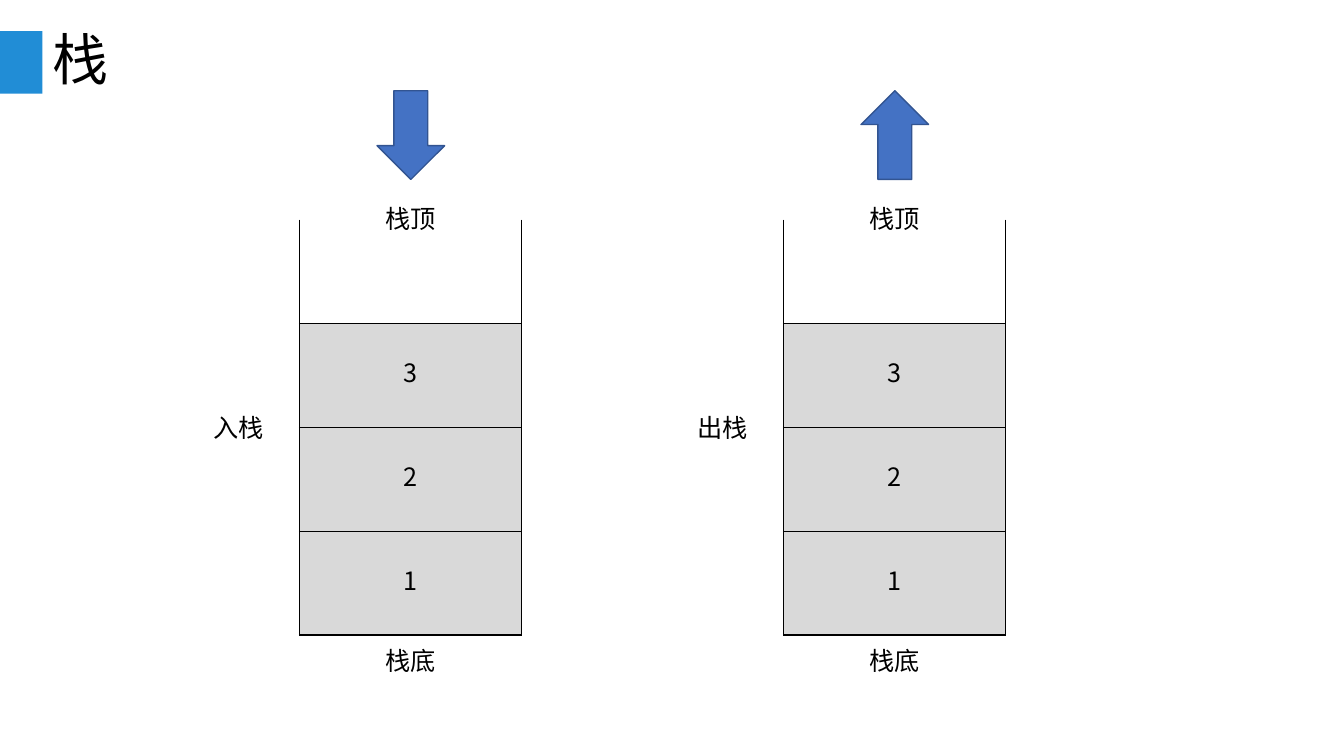
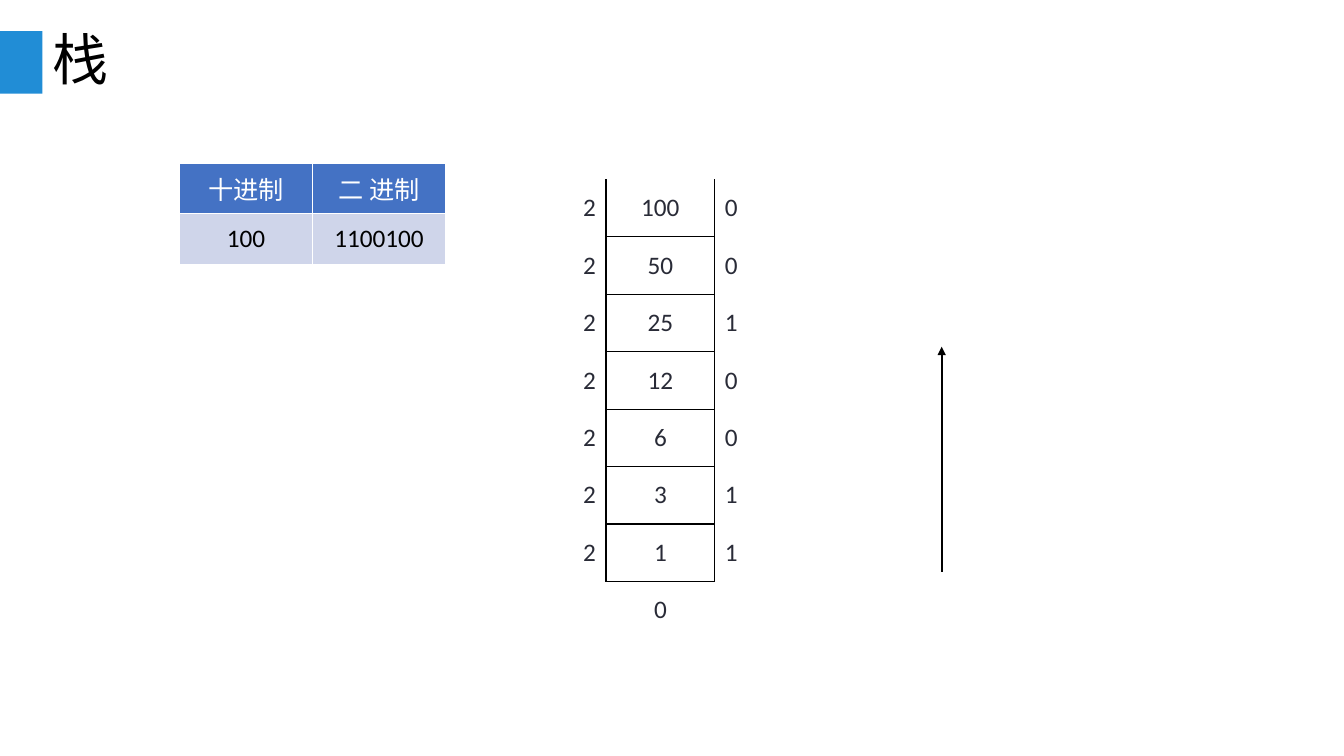
import pptx
import pptx.dml.color
import pptx.enum.shapes
import pptx.enum.text
import pptx.oxml
import pptx.oxml.ns
import pptx.util

Inches, Pt = pptx.util.Inches, pptx.util.Pt
RGBColor = pptx.dml.color.RGBColor
SHAPE = pptx.enum.shapes.MSO_SHAPE
CONNECTOR = pptx.enum.shapes.MSO_CONNECTOR
ALIGN = pptx.enum.text.PP_ALIGN
ANCHOR = pptx.enum.text.MSO_ANCHOR
qn = pptx.oxml.ns.qn

# Shared style
BAND = RGBColor(0x21, 0x8D, 0xD6)
BLUE = RGBColor(0x44, 0x72, 0xC4)
BLUE_EDGE = RGBColor(0x32, 0x54, 0x91)
PALE_BLUE = RGBColor(0xCF, 0xD5, 0xEA)
GREY = RGBColor(0xD9, 0xD9, 0xD9)
INK = RGBColor(0x29, 0x2B, 0x37)
BLACK = RGBColor(0, 0, 0)
WHITE = RGBColor(0xFF, 0xFF, 0xFF)
CJK_FONT, LATIN_FONT = "Noto Sans CJK SC", "Calibri"
PLAIN_TABLE = "{2D5ABB26-0587-4C30-8999-92F81FD0307C}"

# Stack geometry
STACK_W, STACK_TOP, CELL_H = 2.2, 2.18, 1.03
ITEMS = ["3", "2", "1"]


def add_xml(parent, tag, **attrs):
    child = pptx.oxml.parse_xml(f'<a:{tag} {pptx.oxml.ns.nsdecls("a")}/>')
    for name, value in attrs.items():
        child.set(name, value)
    parent.append(child)
    return child


def add_run(p, text, size=18, font=CJK_FONT, color=BLACK):
    r = p.add_run()
    r.text = text
    r.font.size = Pt(size)
    r.font.name = font
    r.font.color.rgb = color
    add_xml(r.font._element, "ea", typeface=CJK_FONT)


def add_shape(s, kind, x, y, w, h, fill, edge=None):
    sp = s.shapes.add_shape(kind, Inches(x), Inches(y), Inches(w), Inches(h))
    sp.shadow.inherit = False
    sp.fill.solid()
    sp.fill.fore_color.rgb = fill
    if edge is None:
        sp.line.fill.background()
    else:
        sp.line.color.rgb = edge
        sp.line.width = Pt(1)
    return sp


def add_label(s, text, center, y, w=0.71):
    sp = s.shapes.add_textbox(Inches(center - w / 2), Inches(y), Inches(w), Inches(0.4))
    sp.text_frame.word_wrap = False
    p = sp.text_frame.paragraphs[0]
    p.alignment = ALIGN.CENTER
    add_run(p, text)


def add_table(s, rows, cols, x, y, col_w, row_h):
    frame = s.shapes.add_table(rows, cols, Inches(x), Inches(y),
                               Inches(cols * col_w), Inches(rows * row_h))
    table = frame.table
    table.first_row = table.horz_banding = False
    next(frame._element.iter(qn("a:tableStyleId"))).text = PLAIN_TABLE
    for col in table.columns:
        col.width = Inches(col_w)
    for row in table.rows:
        row.height = Inches(row_h)
    return table


def style_cell(cell, sides, color, fill=None):
    """Draw 1 pt borders on the given sides (of L, R, T, B), then fill."""
    tcPr = cell._tc.get_or_add_tcPr()
    for side in "LRTB":
        if side in sides:
            ln = add_xml(tcPr, f"ln{side}", w=str(Pt(1)))
            add_xml(add_xml(ln, "solidFill"), "srgbClr", val=str(color))
    if fill is None:
        cell.fill.background()
    else:
        cell.fill.solid()
        cell.fill.fore_color.rgb = fill


def write_cell(cell, text, color, align=ALIGN.CENTER):
    cell.vertical_anchor = ANCHOR.MIDDLE
    p = cell.text_frame.paragraphs[0]
    p.alignment = align
    add_run(p, text, font=LATIN_FONT, color=color)


def add_slide(prs, title):
    s = prs.slides.add_slide(prs.slide_layouts[6])
    add_shape(s, SHAPE.RECTANGLE, 0, 0.31, 0.42, 0.62, BAND)
    sp = s.shapes.add_textbox(Inches(0.42), Inches(0.3), Inches(12.5), Inches(0.64))
    tf = sp.text_frame
    tf.word_wrap = True
    tf.vertical_anchor = ANCHOR.MIDDLE
    p = tf.paragraphs[0]
    p.line_spacing = 0.9
    add_run(p, title, size=40)
    return s


def add_stack(s, x, name, rotation):
    center = x + STACK_W / 2
    table = add_table(s, len(ITEMS) + 1, 1, x, STACK_TOP, STACK_W, CELL_H)
    style_cell(table.cell(0, 0), "LRB", BLACK, WHITE)
    for i, item in enumerate(ITEMS, 1):
        style_cell(table.cell(i, 0), "LRTB", BLACK, GREY)
        add_label(s, item, center, STACK_TOP + i * CELL_H + 0.29, 0.35)
    add_label(s, "栈顶", center, 1.97)
    add_label(s, "栈底", center, 6.35)
    add_label(s, name, x - 0.6, 4.04)
    arrow = add_shape(s, SHAPE.DOWN_ARROW, center - 0.33, 0.9, 0.67, 0.88, BLUE, BLUE_EDGE)
    arrow.rotation = rotation


def add_division(s, number, x, y):
    """Repeated division by 2, with the remainders on the right."""
    steps = number.bit_length()
    table = add_table(s, steps + 1, 3, x, y, 1.08, 0.57)
    for i in range(steps):
        number, remainder = divmod(number, 2)
        quotient = number * 2 + remainder
        divisor, middle, right = (table.cell(i, j) for j in range(3))
        style_cell(divisor, "R", BLACK)
        style_cell(middle, "LTB" if i else "LB", BLACK)
        write_cell(divisor, "2", INK, ALIGN.RIGHT)
        write_cell(middle, str(quotient), INK)
        write_cell(right, str(remainder), INK, ALIGN.LEFT)
    style_cell(table.cell(steps, 1), "T", BLACK)
    write_cell(table.cell(steps, 1), str(number), INK)


def add_conversion(s, rows, x, y):
    table = add_table(s, len(rows), len(rows[0]), x, y, 1.32, 0.5)
    for i, row in enumerate(rows):
        fill, color = (PALE_BLUE, BLACK) if i else (BLUE, WHITE)
        for j, text in enumerate(row):
            style_cell(table.cell(i, j), "LRTB", WHITE, fill)
            write_cell(table.cell(i, j), text, color)


def add_arrow(s, x1, y1, x2, y2):
    line = s.shapes.add_connector(CONNECTOR.STRAIGHT, Inches(x1), Inches(y1),
                                  Inches(x2), Inches(y2))
    line.line.color.rgb = BLACK
    line.line.width = Pt(1.5)
    add_xml(line.line._get_or_add_ln(), "tailEnd", type="triangle")
    add_xml(line._element.spPr, "effectLst")


def main():
    prs = pptx.Presentation()
    prs.slide_width, prs.slide_height = Inches(13.33), Inches(7.5)

    # Push and pop
    s = add_slide(prs, "栈")
    add_stack(s, 2.97, "入栈", 0)
    add_stack(s, 7.77, "出栈", 180)

    # Decimal to binary
    s = add_slide(prs, "栈")
    add_division(s, 100, 4.93, 1.78)
    add_conversion(s, [["十进制", "二 进制"], ["100", "1100100"]], 1.78, 1.62)
    add_arrow(s, 9.34, 5.67, 9.34, 3.44)

    prs.save("out.pptx")


if __name__ == "__main__":
    main()
